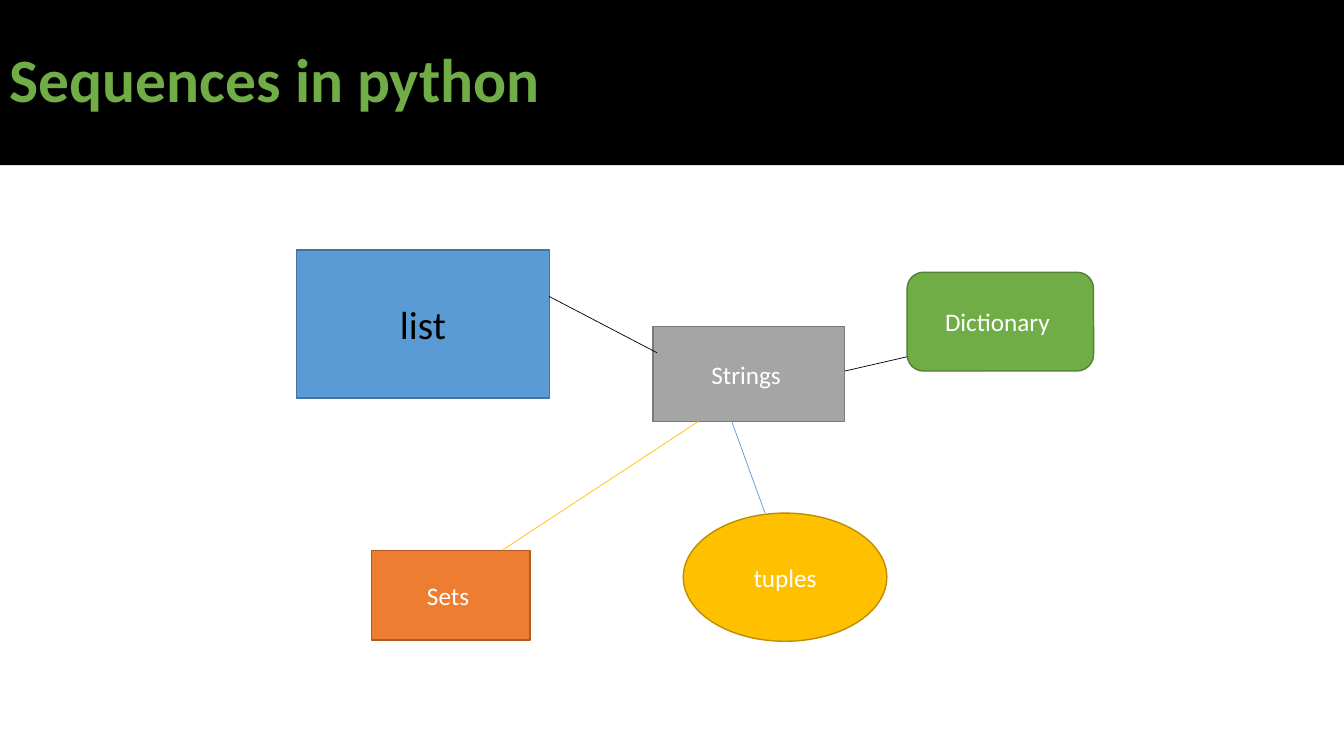
"""Build a slide that links the sequence types of Python."""
from typing import NamedTuple

from lxml import etree
from pptx import Presentation
from pptx.dml.color import RGBColor
from pptx.enum.shapes import MSO_CONNECTOR, MSO_SHAPE
from pptx.enum.text import MSO_ANCHOR, PP_ALIGN
from pptx.oxml.ns import qn
from pptx.util import Cm, Pt

RECT = MSO_SHAPE.RECTANGLE
ROUND = MSO_SHAPE.ROUNDED_RECTANGLE
OVAL = MSO_SHAPE.OVAL
STRAIGHT = MSO_CONNECTOR.STRAIGHT
MIDDLE = MSO_ANCHOR.MIDDLE
LEFT = PP_ALIGN.LEFT
CENTER = PP_ALIGN.CENTER

FONT = "Calibri"
COLORS = {
    "black": "000000", "white": "FFFFFF",
    "blue": "5B9BD5", "navy": "43739E",
    "gold": "FFC000", "bronze": "BD8E00",
    "green": "70AD47", "forest": "538035",
    "gray": "A5A5A5", "slate": "7A7A7A",
    "orange": "ED7D31", "rust": "AF5C24",
}


class Node(NamedTuple):
    text: str
    left: float
    top: float
    width: float
    height: float
    fill: str
    edge: str | None
    kind: int = RECT
    size: int = 18
    ink: str = "white"
    align: int = CENTER
    bold: bool = False


class Link(NamedTuple):
    x1: float
    y1: float
    x2: float
    y2: float
    color: str


TITLE = Node("Sequences in python", 0, 0, 33.87, 4.16, "black", None,
             size=44, ink="green", align=LEFT, bold=True)
NODES = [
    Node("list", 7.47, 6.3, 6.38, 3.73, "blue", "navy", size=28, ink="black"),
    Node("tuples", 17.22, 12.93, 5.13, 3.23, "gold", "bronze", OVAL),
    Node("Dictionary ", 22.86, 6.86, 4.7, 2.49, "green", "forest", ROUND),
    Node("Strings ", 16.46, 8.23, 4.83, 2.39, "gray", "slate"),
    Node("Sets ", 9.37, 13.87, 3.99, 2.26, "orange", "rust"),
]
LINKS = [
    Link(13.84, 7.47, 16.56, 8.89, "black"),
    Link(21.29, 9.35, 22.86, 8.99, "black"),
    Link(18.44, 10.62, 19.28, 12.93, "blue"),
    Link(17.6, 10.62, 12.65, 13.87, "gold"),
]


def paint(name: str) -> RGBColor:
    """Return the named colour."""
    return RGBColor.from_string(COLORS[name])


def add_node(slide, node: Node):
    """Draw a filled shape with its label."""
    shape = slide.shapes.add_shape(
        node.kind, Cm(node.left), Cm(node.top), Cm(node.width), Cm(node.height))
    shape.shadow.inherit = False
    shape.fill.solid()
    shape.fill.fore_color.rgb = paint(node.fill)
    if node.edge:
        shape.line.color.rgb = paint(node.edge)
        shape.line.width = Pt(1)
    else:
        shape.line.fill.background()
    frame = shape.text_frame
    frame.text = node.text
    frame.word_wrap = True
    frame.vertical_anchor = MIDDLE
    label = frame.paragraphs[0]
    label.alignment = node.align
    font = label.runs[0].font
    font.name = FONT
    font.size = Pt(node.size)
    font.bold = node.bold
    font.color.rgb = paint(node.ink)
    return shape


def add_link(slide, link: Link) -> None:
    """Draw a thin line without a shadow."""
    line = slide.shapes.add_connector(
        STRAIGHT, Cm(link.x1), Cm(link.y1), Cm(link.x2), Cm(link.y2))
    line.line.color.rgb = paint(link.color)
    line.line.width = Pt(0.5)
    etree.SubElement(line._element.spPr, qn("a:effectLst"))


def main() -> None:
    """Draw the slide and save it."""
    deck = Presentation()
    deck.slide_width = Cm(33.87)
    deck.slide_height = Cm(19.05)
    slide = deck.slides.add_slide(deck.slide_layouts[6])
    title = add_node(slide, TITLE)
    title.text_frame.paragraphs[0].line_spacing = 0.9
    for node in NODES:
        add_node(slide, node)
    for link in LINKS:
        add_link(slide, link)
    deck.save("out.pptx")


main()
